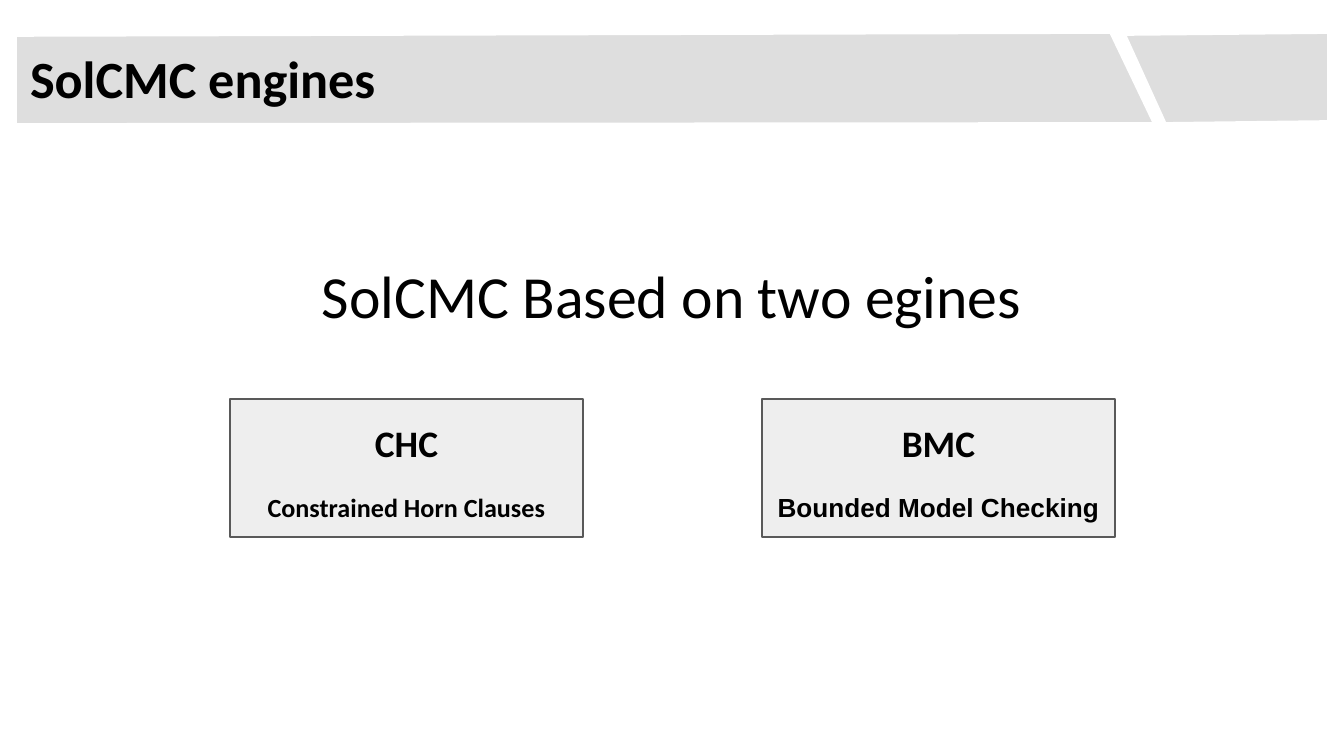
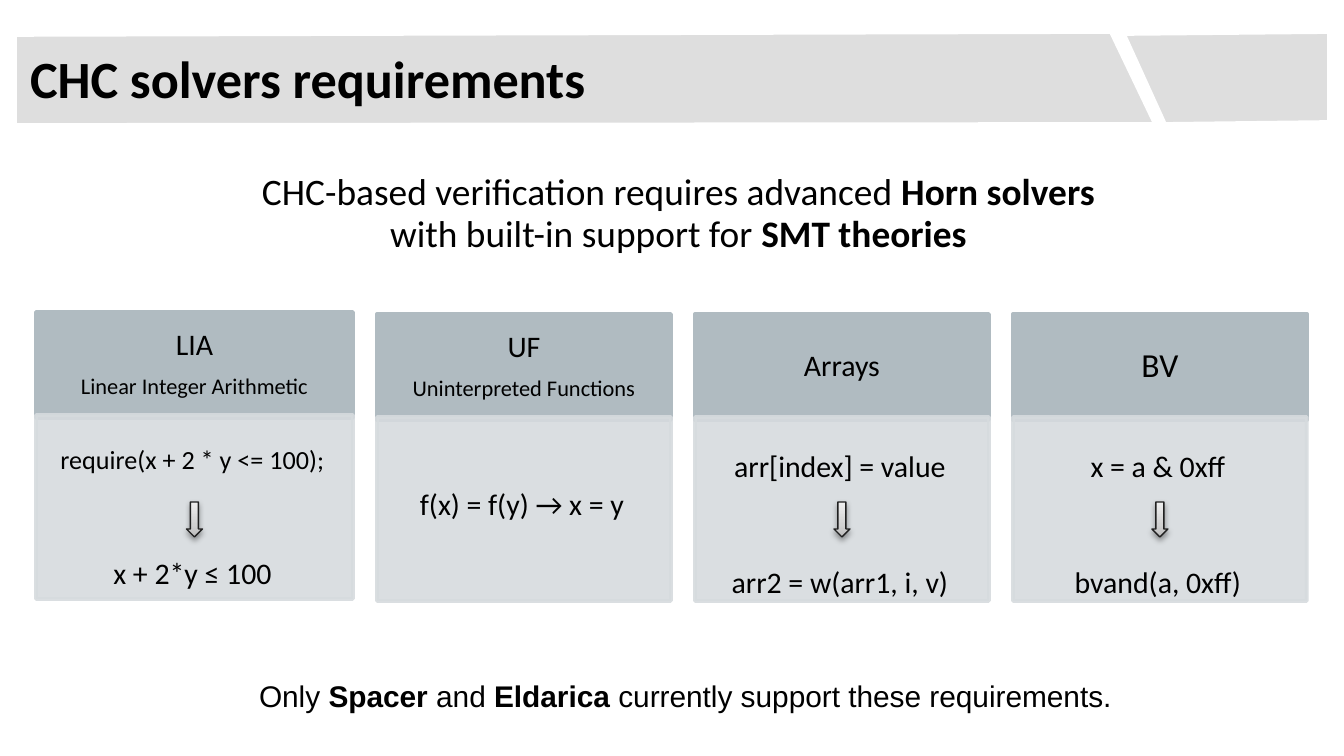
from copy import deepcopy

from lxml.etree import SubElement
from pptx import Presentation
from pptx.dml.color import RGBColor
from pptx.enum.shapes import MSO_SHAPE
from pptx.enum.text import MSO_ANCHOR, PP_ALIGN
from pptx.oxml.ns import qn
from pptx.util import Emu, Pt

PX = 914400 / 134.4
PAGE_WIDTH, PAGE_HEIGHT = 1344, 756

BLACK, WHITE = "000000", "FFFFFF"
BAND = "DEDEDE"
ENGINE_FILL, ENGINE_LINE = "EEEEEE", "595959"
HEAD_FILL, BODY_FILL = "B0BBC1", "D6DBDE"
ARROW_LINE = "202020"
ARROW_STOPS = [(0, "BDBDBD"), (0.35, "D1D1D1"), (1, "EEEEEE")]

BAND_OUTLINES = [
    [(15, 35), (1111, 32), (1155, 124), (15, 125)],
    [(1329, 122), (1165, 124), (1124, 34), (1329, 32)],
]

# Each engine: short name, full name, font of the full name
ENGINES = [
    ("CHC", "Constrained Horn Clauses", "Calibri"),
    ("BMC", "Bounded Model Checking", "Arial"),
]
ENGINE_LEFT, ENGINE_TOP, ENGINE_STEP = 230, 399, 532
ENGINE_WIDTH, ENGINE_HEIGHT = 353, 138

# Runs of text with their weight; a line feed is a line break
REQUIREMENT = [
    ("CHC-based verification requires advanced ", False),
    ("Horn solvers", True),
    ("\n", False),
    ("with built-in support for ", False),
    ("SMT theories", True),
]
CONCLUSION = [
    ("Only ", False),
    ("Spacer", True),
    (" and ", False),
    ("Eldarica", True),
    (" currently support these requirements.", False),
]

# Lines are (text, size); a body of two lines gets an arrow between them
THEORIES = [
    {"top": 312, "width": 317,
     "head": [("LIA", 16), ("Linear Integer Arithmetic", 12)],
     "body": [("require(x + 2 * y <= 100);", 14), ("x + 2*y ≤ 100", 16)]},
    {"top": 314, "width": 294,
     "head": [("UF", 16), ("Uninterpreted Functions", 12)],
     "body": [("f(x) = f(y) → x = y", 16)]},
    {"top": 314, "width": 294,
     "head": [("Arrays", 16)],
     "body": [("arr[index] = value", 16), ("arr2 = w(arr1, i, v)", 16)]},
    {"top": 314, "width": 294,
     "head": [("BV", 18)],
     "body": [("x = a & 0xff", 16), ("bvand(a, 0xff)", 16)]},
]
THEORY_LEFT, THEORY_GAP = 36, 24
HEAD_HEIGHT, BODY_OFFSET, BODY_HEIGHT = 106, 103, 184
ARROW_TOP, ARROW_WIDTH, ARROW_HEIGHT = 502, 16, 35


def px(length):
    return Emu(round(length * PX))


def rgb(color):
    return RGBColor.from_string(color)


def paint(shape, fill, line, width):
    shape.shadow.inherit = False
    shape.fill.solid()
    shape.fill.fore_color.rgb = rgb(fill)
    shape.line.color.rgb = rgb(line)
    shape.line.width = Pt(width)


def set_alpha(shape, percent):
    """Make the fill and the line of a shape partly transparent."""
    for color in shape._element.spPr.iter(qn("a:srgbClr")):
        SubElement(color, qn("a:alpha"), val=str(percent * 1000))


def line_of(content, size, font="Calibri", bold=False, **layout):
    """Describe one paragraph: its runs, their font and its layout."""
    spans = [(content, bold)] if isinstance(content, str) else content
    return {"spans": spans, "size": size, "font": font,
            "layout": {"alignment": PP_ALIGN.CENTER, **layout}}


def write(shape, lines, insets=(13, 13, 13, 13), anchor=MSO_ANCHOR.TOP):
    """Fill a shape with paragraphs; insets run left, top, right, bottom."""
    frame = shape.text_frame
    frame.word_wrap = True
    frame.vertical_anchor = anchor
    for side, inset in zip(("left", "top", "right", "bottom"), insets):
        setattr(frame, f"margin_{side}", px(inset))
    for index, line in enumerate(lines):
        para = frame.add_paragraph() if index else frame.paragraphs[0]
        for name, value in line["layout"].items():
            setattr(para, name, value)
        for text, bold in line["spans"]:
            if text == "\n":
                para.add_line_break()
                continue
            span = para.add_run()
            span.text = text
            formats = {"size": Pt(line["size"]), "name": line["font"], "bold": bold}
            for name, value in formats.items():
                setattr(span.font, name, value)
            span.font.color.rgb = rgb(BLACK)


def add_text(page, place, lines, **options):
    box = page.shapes.add_textbox(*map(px, place))
    write(box, lines, **options)


def add_panel(page, place, fill, line, width):
    panel = page.shapes.add_shape(MSO_SHAPE.RECTANGLE, *map(px, place))
    paint(panel, fill, line, width)
    return panel


def add_page(deck, title):
    """Add a slide with the slanted bands and the title."""
    page = deck.slides.add_slide(deck.slide_layouts[6])
    for start, *others in BAND_OUTLINES:
        builder = page.shapes.build_freeform(*start, scale=PX)
        builder.add_line_segments(others, close=True)
        paint(builder.convert_to_shape(), BAND, WHITE, 2)
    add_text(page, (17, 39, 1085, 77),
             [line_of(title, 28, bold=True, alignment=PP_ALIGN.LEFT)],
             insets=(13, 7, 13, 7))
    return page


def add_arrow(page, center):
    place = (center - ARROW_WIDTH / 2, ARROW_TOP, ARROW_WIDTH, ARROW_HEIGHT)
    arrow = page.shapes.add_shape(MSO_SHAPE.DOWN_ARROW, *map(px, place))
    paint(arrow, BAND, ARROW_LINE, 0.75)
    arrow.fill.gradient()
    arrow.fill.gradient_angle = 90
    properties = arrow._element.spPr
    stop_list = properties.find(".//" + qn("a:gsLst"))
    stop_list.append(deepcopy(stop_list[0]))
    for stop, (position, color) in zip(arrow.fill.gradient_stops, ARROW_STOPS):
        stop.position = position
        stop.color.rgb = rgb(color)
    shadow = SubElement(properties.find(qn("a:effectLst")), qn("a:outerShdw"),
                        blurRad=str(Pt(3.1)), dist=str(Pt(1.6)),
                        dir="5400000", rotWithShape="0")
    shade = SubElement(shadow, qn("a:srgbClr"), val=BLACK)
    SubElement(shade, qn("a:alpha"), val="38000")


def add_theory(page, left, theory):
    top, width = theory["top"], theory["width"]
    head = add_panel(page, (left, top, width, HEAD_HEIGHT), HEAD_FILL, HEAD_FILL, 2)
    write(head, [line_of(text, size, line_spacing=0.9, space_before=Pt(7 * (index > 0)))
                 for index, (text, size) in enumerate(theory["head"])],
          insets=(19, 11, 19, 11), anchor=MSO_ANCHOR.MIDDLE)

    body = add_panel(page, (left, top + BODY_OFFSET, width, BODY_HEIGHT),
                     BODY_FILL, BODY_FILL, 2)
    set_alpha(body, 90)
    is_pair = len(theory["body"]) == 2
    write(body, [line_of(text, size, line_spacing=1.5 if is_pair else 0.9,
                         space_before=Pt(33 * (index > 0)))
                 for index, (text, size) in enumerate(theory["body"])],
          insets=(13, 13, 17, 20),
          anchor=MSO_ANCHOR.TOP if is_pair else MSO_ANCHOR.MIDDLE)
    if is_pair:
        add_arrow(page, left + width / 2)


def build_engines(deck):
    page = add_page(deck, "SolCMC engines")
    for index, (name, meaning, font) in enumerate(ENGINES):
        place = (ENGINE_LEFT + index * ENGINE_STEP, ENGINE_TOP,
                 ENGINE_WIDTH, ENGINE_HEIGHT)
        panel = add_panel(page, place, ENGINE_FILL, ENGINE_LINE, 0.75)
        write(panel, [line_of(name, 20, bold=True, line_spacing=1.15),
                      line_of(meaning, 14, font, True, line_spacing=1.15,
                              space_before=Pt(12))],
              anchor=MSO_ANCHOR.MIDDLE)
    add_text(page, (0, 235, PAGE_WIDTH, 122),
             [line_of("SolCMC Based on two egines", 32, line_spacing=1.15)])


def build_requirements(deck):
    page = add_page(deck, "CHC solvers requirements")
    add_text(page, (43, 164, 1271, 106), [line_of(REQUIREMENT, 20, line_spacing=0.95)],
             insets=(13, 7, 13, 7))
    left = THEORY_LEFT
    for theory in THEORIES:
        add_theory(page, left, theory)
        left += theory["width"] + THEORY_GAP
    add_text(page, (65, 673, 1219, 48),
             [line_of(CONCLUSION, 16, "Arial", line_spacing=0.95)],
             insets=(35, 7, 13, 7))


def main():
    deck = Presentation()
    deck.slide_width, deck.slide_height = px(PAGE_WIDTH), px(PAGE_HEIGHT)
    build_engines(deck)
    build_requirements(deck)
    deck.save("out.pptx")


if __name__ == "__main__":
    main()
